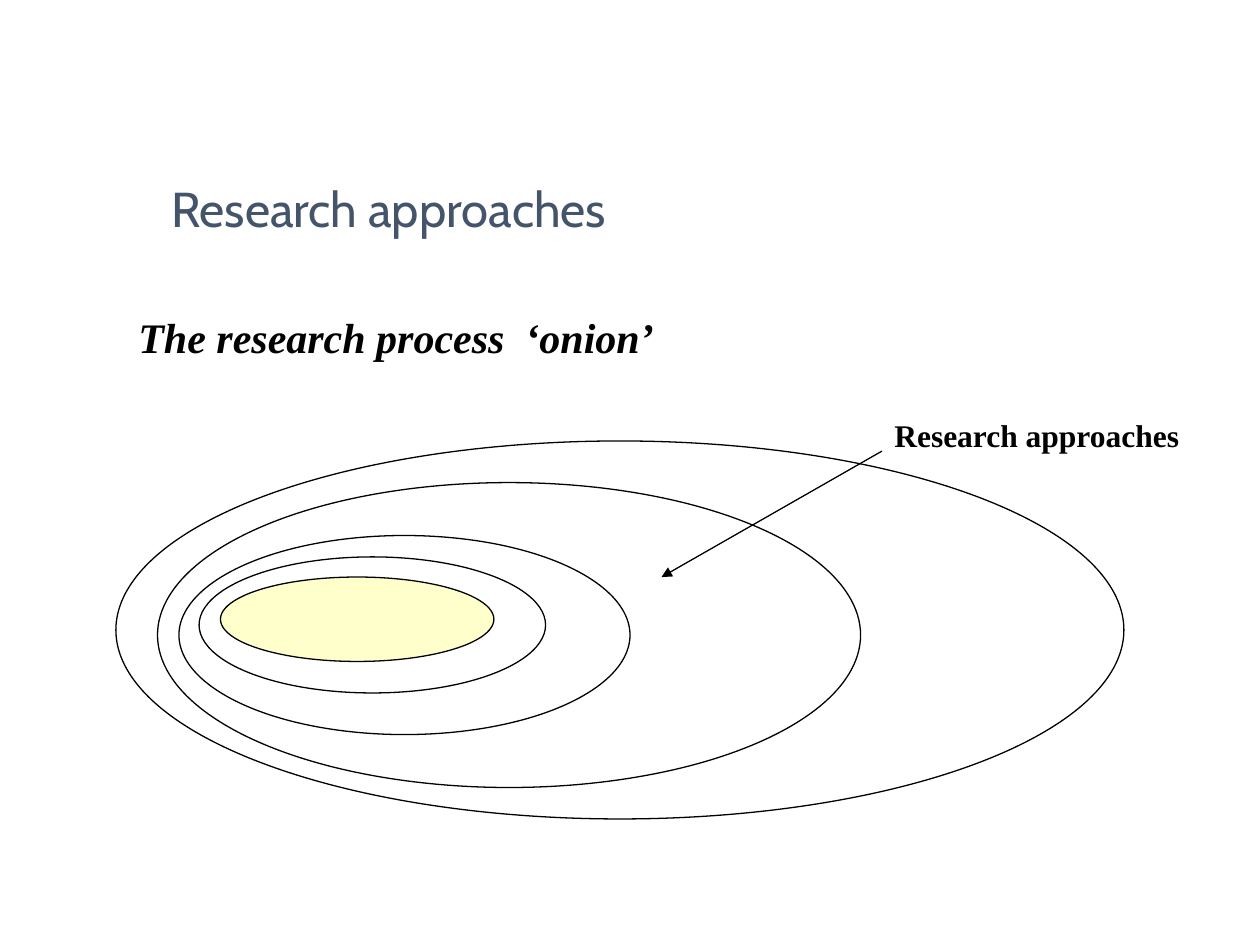
from lxml.etree import SubElement
from pptx import Presentation
from pptx.dml.color import RGBColor
from pptx.enum.shapes import MSO_CONNECTOR, MSO_SHAPE
from pptx.enum.text import MSO_ANCHOR, MSO_AUTO_SIZE
from pptx.oxml.ns import qn
from pptx.util import Inches, Pt

BLACK = "000000"
SERIF = "Times New Roman"

TITLE = ("Research approaches", (1.26, 0.68, 8.52, 1.25), "Cabin", 28, "44546A", False, False)
LABELS = [
    ("The research process  ‘onion’", (1, 2.42, 4.3, 0.5), SERIF, 24, BLACK, True, True),
    ("Research approaches", (7, 3.25, 2.47, 0.4), SERIF, 18, BLACK, True, False),
]
ONION_LAYERS = [
    ((1.75, 4.58, 2.17, 0.67), "FFFFCC"),
    ((1.58, 4.42, 2.75, 1.08), None),
    ((1.42, 4.25, 3.58, 1.58), None),
    ((1.25, 3.83, 5.58, 2.42), None),
    ((0.92, 3.5, 8, 3), None),
]
ARROW = (7, 3.58, 5.25, 4.58)


def inches(values):
    return [Inches(value) for value in values]


def color(hex_string):
    return RGBColor.from_string(hex_string)


def style_line(line):
    line.color.rgb = color(BLACK)
    line.width = Pt(0.75)


def add_text(slide, text, box, font_name, size, text_color, bold, italic):
    shape = slide.shapes.add_textbox(*inches(box))
    shape.text_frame.text = text
    font = shape.text_frame.paragraphs[0].runs[0].font
    font.name = font_name
    font.size = Pt(size)
    font.color.rgb = color(text_color)
    font.bold = bold
    font.italic = italic
    return shape.text_frame


def add_layer(slide, box, fill):
    shape = slide.shapes.add_shape(MSO_SHAPE.OVAL, *inches(box))
    shape.shadow.inherit = False
    style_line(shape.line)
    if fill:
        shape.fill.solid()
        shape.fill.fore_color.rgb = color(fill)
    else:
        shape.fill.background()


def add_arrow(slide, ends):
    connector = slide.shapes.add_connector(MSO_CONNECTOR.STRAIGHT, *inches(ends))
    style_line(connector.line)
    properties = connector._element.spPr
    SubElement(properties.find(qn("a:ln")), qn("a:tailEnd"), type="triangle")
    SubElement(properties, qn("a:effectLst"))


def main():
    presentation = Presentation()
    presentation.slide_width, presentation.slide_height = inches((10, 7.5))
    slide = presentation.slides.add_slide(presentation.slide_layouts[6])

    title_frame = add_text(slide, *TITLE)
    title_frame.word_wrap = True
    title_frame.vertical_anchor = MSO_ANCHOR.BOTTOM

    for box, fill in ONION_LAYERS:
        add_layer(slide, box, fill)
    for label in LABELS:
        label_frame = add_text(slide, *label)
        label_frame.word_wrap = False
        label_frame.auto_size = MSO_AUTO_SIZE.SHAPE_TO_FIT_TEXT
    add_arrow(slide, ARROW)

    presentation.save("out.pptx")


if __name__ == "__main__":
    main()
